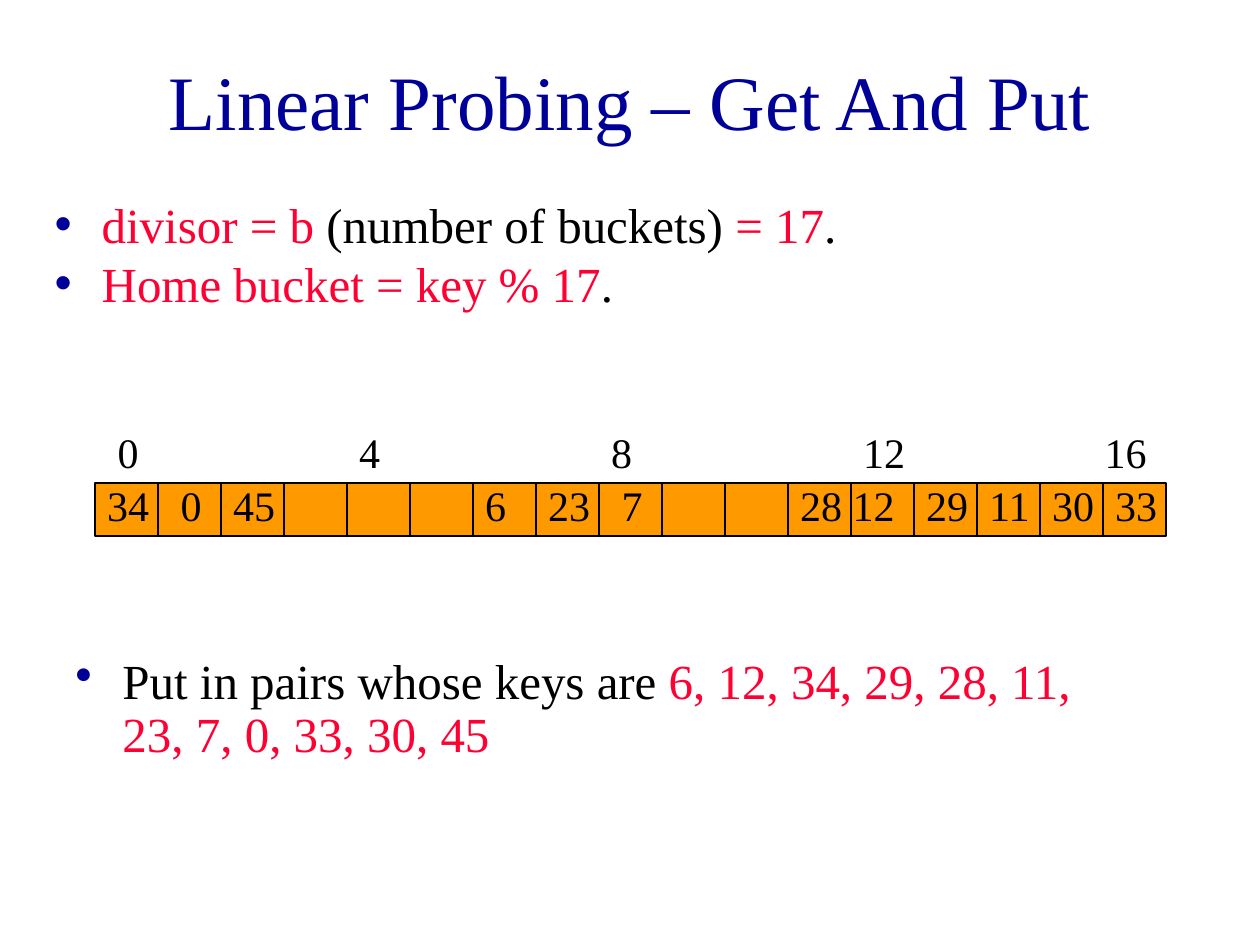
import pptx
import pptx.util
import pptx.dml.color
import pptx.enum.shapes
import pptx.enum.text
import pptx.oxml
import pptx.oxml.ns

Cm = pptx.util.Cm
Pt = pptx.util.Pt
Fit = pptx.enum.text.MSO_AUTO_SIZE
Mid = pptx.enum.text.MSO_ANCHOR.MIDDLE
Top = pptx.enum.text.MSO_ANCHOR.TOP
Align = pptx.enum.text.PP_ALIGN

FONT = "Times New Roman"
NAVY, RED, BLACK, ORANGE = "000099", "FF0033", "000000", "FF9900"

SIZE = 17  # buckets
KEYS = [6, 12, 34, 29, 28, 11, 23, 7, 0, 33, 30, 45]
LEFT, CELL = 1.91, 1.27  # cm

# Small shifts and extra widths of single labels, in cm
KEY_SHIFT = {0: 0.21, 7: 0.21, 12: -0.21}
KEY_WIDTH = {34: 1.7, 23: 1.7, 45: 2.12}
INDEX_SHIFT = {0: 0.21, 16: -0.21}


def color(code):
    return pptx.dml.color.RGBColor.from_string(code)


def apply(target, values):
    for name, value in values.items():
        setattr(target, name, value)


def place(shape, left, top, width, height):
    apply(shape, {"left": Cm(left), "top": Cm(top),
                  "width": Cm(width), "height": Cm(height)})


def frame(shape, anchor=Top, fit=Fit.NONE):
    text = shape.text_frame
    apply(text, {"word_wrap": True, "auto_size": fit,
                 "vertical_anchor": anchor,
                 "margin_left": Cm(0.25), "margin_right": Cm(0.25),
                 "margin_top": Cm(0.13), "margin_bottom": Cm(0.13)})
    return text


def write(para, runs, size):
    """Add runs, given as (text, colour) pairs."""
    for words, code in runs:
        run = para.add_run()
        run.text = words
        apply(run.font, {"name": FONT, "size": Pt(size)})
        run.font.color.rgb = color(code)


def bullet(para):
    props = para._p.get_or_add_pPr()
    apply_indent = {"marL": Cm(0.95), "indent": -Cm(0.95)}
    for name, value in apply_indent.items():
        props.set(name, str(value))
    space = pptx.oxml.ns.nsdecls("a")
    for xml in (f'<a:buClr {space}><a:srgbClr val="{NAVY}"/></a:buClr>',
                f'<a:buChar {space} char="•"/>'):
        props.append(pptx.oxml.parse_xml(xml))


def fill_list(shape, items, spacing):
    text = frame(shape)
    for i, runs in enumerate(items):
        para = text.add_paragraph() if i else text.paragraphs[0]
        bullet(para)
        apply(para, {"line_spacing": spacing, "alignment": Align.LEFT,
                     "space_before": Pt(7 if i else 0)})
        write(para, runs, 28)


def add_label(shapes, words, left, top, width):
    box = shapes.add_textbox(Cm(left), Cm(top), Cm(width), Cm(1.27))
    text = frame(box, fit=Fit.SHAPE_TO_FIT_TEXT)
    write(text.paragraphs[0], [(words, BLACK)], 24)


def add_cell(shapes, bucket):
    kind = pptx.enum.shapes.MSO_SHAPE.RECTANGLE
    cell = shapes.add_shape(kind, Cm(LEFT + bucket * CELL), Cm(9.74),
                            Cm(CELL), Cm(1.06))
    cell.shadow.inherit = False
    cell.fill.solid()
    cell.fill.fore_color.rgb = color(ORANGE)
    cell.line.color.rgb = color(BLACK)
    cell.line.width = Pt(1)


def add_array(slide):
    shapes = slide.shapes.add_group_shape().shapes
    for bucket in range(SIZE):
        add_cell(shapes, bucket)
    for bucket in range(0, SIZE, 4):
        left = LEFT + bucket * CELL + INDEX_SHIFT.get(bucket, 0)
        add_label(shapes, str(bucket), left, 8.47,
                  1.27 if bucket < 10 else 1.48)


def probe(keys):
    """Map each key to its bucket by linear probing."""
    table = {}
    for key in keys:
        bucket = key % SIZE
        while bucket in table.values():
            bucket = (bucket + 1) % SIZE
        table[key] = bucket
    return table


def add_keys(slide):
    for key, bucket in probe(KEYS).items():
        left = LEFT + bucket * CELL + KEY_SHIFT.get(key, 0)
        width = KEY_WIDTH.get(key, 1.06 if key < 10 else 1.48)
        add_label(slide.shapes, str(key), left, 9.53, width)


def main():
    deck = pptx.Presentation()
    apply(deck, {"slide_width": Cm(25.4), "slide_height": Cm(19.05)})
    slide = deck.slides.add_slide(deck.slide_layouts[1])

    title = slide.shapes.title
    place(title, 1.91, 0.42, 21.59, 3.18)
    head = frame(title, Mid).paragraphs[0]
    head.alignment = Align.CENTER
    write(head, [("Linear Probing – Get And Put", NAVY)], 44)

    body = slide.placeholders[1]
    place(body, 0.85, 4.02, 21.59, 2.54)
    fill_list(body, [
        [("divisor = b ", RED), ("(number of buckets)", BLACK),
         (" = 17", RED), (".", BLACK)],
        [("Home bucket = key % 17", RED), (".", BLACK)],
    ], 0.8)

    add_array(slide)

    task = slide.shapes.add_textbox(Cm(1.27), Cm(13.12), Cm(21.59), Cm(2.54))
    fill_list(task, [
        [("Put in pairs whose keys are ", BLACK),
         (", ".join(map(str, KEYS)), RED)],
    ], 0.9)

    add_keys(slide)
    deck.save("out.pptx")


if __name__ == "__main__":
    main()
